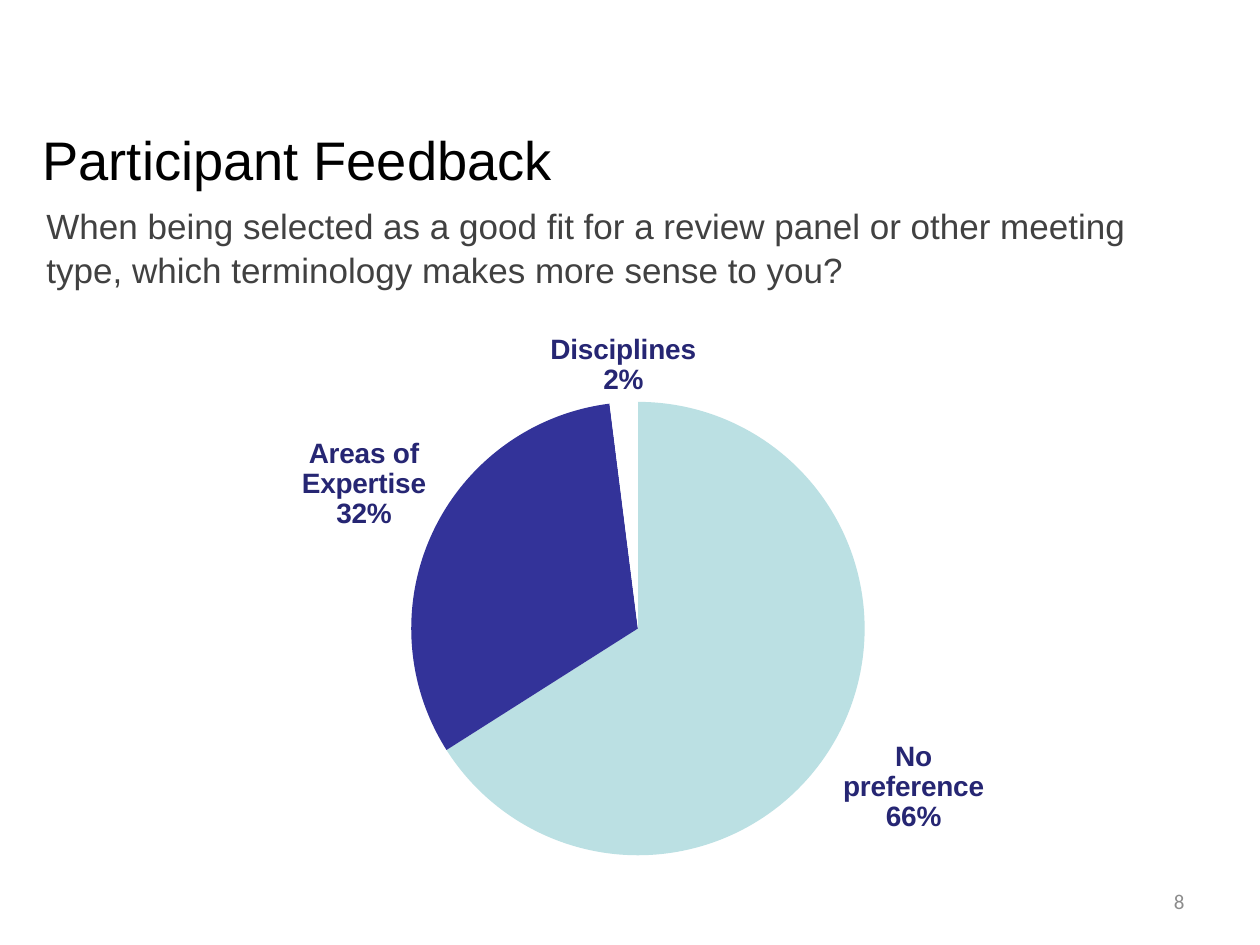
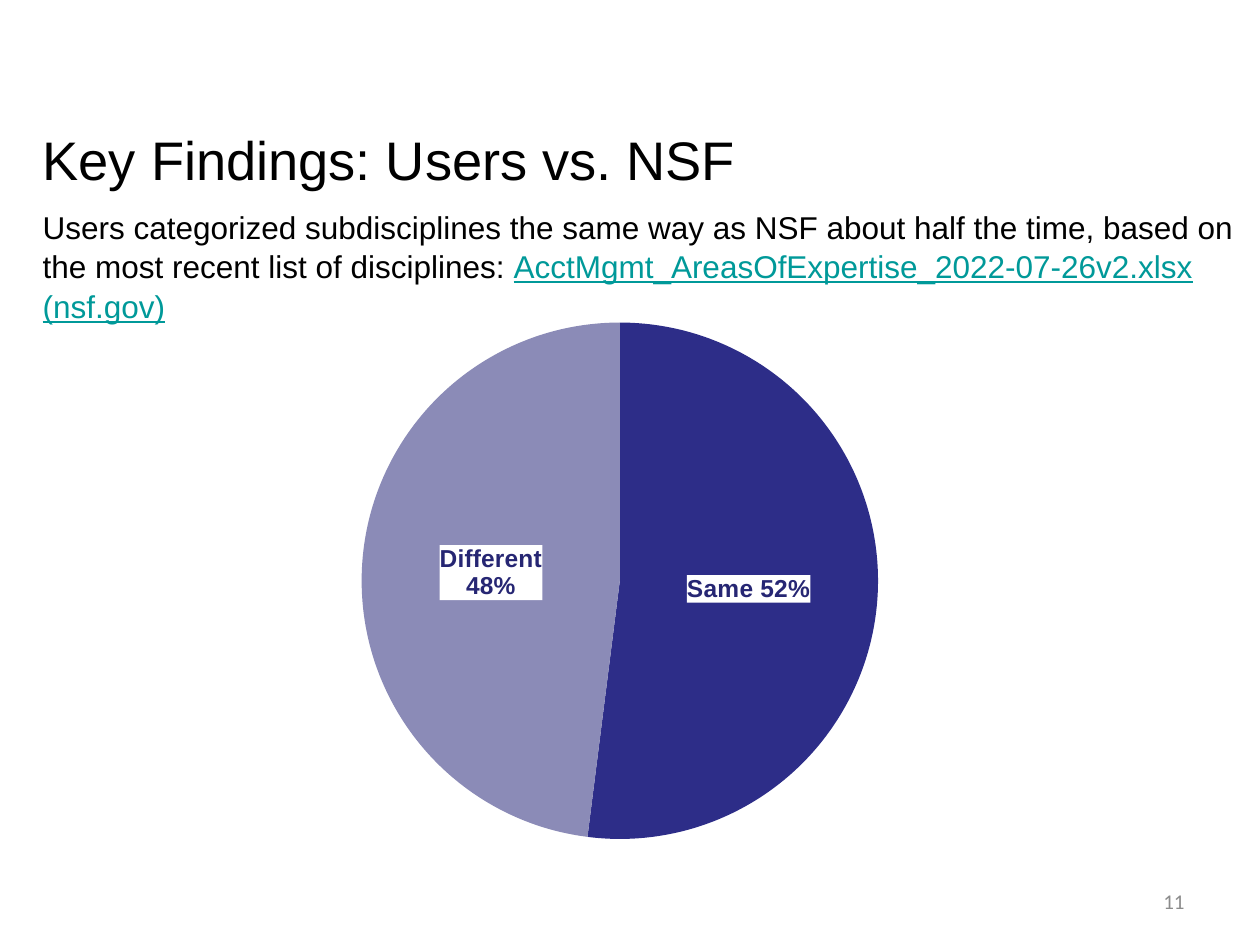
from lxml import etree
from pptx import Presentation
from pptx.chart.data import CategoryChartData
from pptx.dml.color import RGBColor
from pptx.enum.chart import XL_CHART_TYPE, XL_LABEL_POSITION
from pptx.enum.text import MSO_ANCHOR, PP_ALIGN
from pptx.oxml import parse_xml
from pptx.oxml.ns import nsdecls, qn
from pptx.util import Pt

PIE = XL_CHART_TYPE.PIE
OUTSIDE, CENTER = XL_LABEL_POSITION.OUTSIDE_END, XL_LABEL_POSITION.CENTER
TOP, MIDDLE = MSO_ANCHOR.TOP, MSO_ANCHOR.MIDDLE
LEFT, RIGHT = PP_ALIGN.LEFT, PP_ALIGN.RIGHT

PX = 9144  # EMU, 100 px to the inch
BLACK, GREY, FOOTER_GREY = "000000", "414141", "8C8C8C"
LINK_TEAL, LABEL_NAVY = "009999", "262673"
TITLE_BOX = (24, 94, 901, 69)
NUMBER_BOX = (717, 695, 233, 40)

SLIDES = [
    {
        "title": "Participant Feedback",
        "number": "8",
        "body_box": (27, 161, 901, 82),
        "body_inset": 0,
        "body_size": 20,
        "body": [("When being selected as a good fit for a review panel or other meeting type, "
                  "which terminology makes more sense to you?", GREY)],
        "chart_box": (147, 252, 706, 465),
        "pie_box": (326, 319, 360, 360),
        "label_size": 16,
        "label_position": OUTSIDE,
        "label_fill": "<a:noFill/>",
        "slices": [("No preference", 66, "BBE0E3", "\n"),
                   ("Areas of Expertise", 32, "333399", "\n"),
                   ("Disciplines", 2, "FFFFFF", "\n")],
    },
    {
        "title": "Key Findings: Users vs. NSF",
        "number": "11",
        "body_box": (24, 159, 969, 131),
        "body_inset": 5,
        "body_size": 18,
        "body": [("Users categorized subdisciplines the same way as NSF about half the time, "
                  "based on the most recent list of disciplines: ", BLACK),
                 ("AcctMgmt_AreasOfExpertise_2022-07-26v2.xlsx (nsf.gov)", LINK_TEAL)],
        "chart_box": (186, 242, 627, 438),
        "pie_box": (287, 256, 410, 410),
        "label_size": 14,
        "label_position": CENTER,
        "label_fill": '<a:solidFill><a:srgbClr val="FFFFFF"/></a:solidFill>',
        "slices": [("Same", 52, "2D2D88", " "),
                   ("Different", 48, "8B8BB7", "\n")],
    },
]


def rgb(hex_color):
    return RGBColor.from_string(hex_color)


def add_text(slide, box, parts, size, font="Arial", align=LEFT, anchor=TOP, inset=0, spacing=1.0):
    """Add one paragraph made of (text, colour) parts; link-coloured parts are underlined."""
    frame = slide.shapes.add_textbox(*(n * PX for n in box)).text_frame
    frame.word_wrap = True
    frame.vertical_anchor = anchor
    frame.margin_top = inset * PX
    frame.margin_bottom = 5 * PX
    paragraph = frame.paragraphs[0]
    paragraph.alignment = align
    paragraph.line_spacing = spacing
    for text, color in parts:
        run = paragraph.add_run()
        run.text = text
        run.font.name = font
        run.font.size = Pt(size)
        run.font.color.rgb = rgb(color)
        if color == LINK_TEAL:
            run.font.underline = True


prs = Presentation()
prs.slide_width, prs.slide_height = 1000 * PX, 750 * PX
blank = prs.slide_layouts[6]

for content in SLIDES:
    slide = prs.slides.add_slide(blank)
    add_text(slide, TITLE_BOX, [(content["title"], BLACK)], 31, anchor=MIDDLE)
    add_text(slide, NUMBER_BOX, [(content["number"], FOOTER_GREY)], 12,
             font="Calibri", align=RIGHT, anchor=MIDDLE, inset=5)
    add_text(slide, content["body_box"], content["body"], content["body_size"],
             inset=content["body_inset"], spacing=1.04)

    answers = CategoryChartData(number_format="0")
    answers.categories = [name for name, *_ in content["slices"]]
    answers.add_series("Series 1", [share for _, share, *_ in content["slices"]])
    chart_box = content["chart_box"]
    chart = slide.shapes.add_chart(PIE, *(n * PX for n in chart_box), answers).chart
    chart.has_title = False
    chart.has_legend = False
    chart.font.name = "Arial"
    chart.font.size = Pt(10)
    chart.font.color.rgb = rgb(BLACK)
    plot = chart.plots[0]
    plot.vary_by_categories = True

    # Fix the pie inside the chart frame, as fractions of the frame
    left, top, width, height = content["pie_box"]
    fractions = {"x": (left - chart_box[0]) / chart_box[2],
                 "y": (top - chart_box[1]) / chart_box[3],
                 "w": width / chart_box[2],
                 "h": height / chart_box[3]}
    plot_area = chart._chartSpace.chart.plotArea
    for old_layout in plot_area.findall(qn("c:layout")):
        plot_area.remove(old_layout)
    places = "".join(f'<c:{key} val="{value:.3f}"/>' for key, value in fractions.items())
    plot_area.insert(0, parse_xml(
        f'<c:layout {nsdecls("c")}><c:manualLayout><c:layoutTarget val="inner"/>'
        f'<c:xMode val="edge"/><c:yMode val="edge"/>{places}</c:manualLayout></c:layout>'))

    series = plot.series[0]
    for index, (_, _, color, separator) in enumerate(content["slices"]):
        point = series.points[index]
        point.format.fill.solid()
        point.format.fill.fore_color.rgb = rgb(color)
        point.format.line.fill.background()

        label = point.data_label
        label.position = content["label_position"]
        label.font.name = "Arial"
        label.font.size = Pt(content["label_size"])
        label.font.bold = True
        label.font.color.rgb = rgb(LABEL_NAVY)

        # Category and percentage, with a number format and a backing fill
        label_xml = series._element.find(qn("c:dLbls")).findall(qn("c:dLbl"))[index]
        for tag, shown in (("c:showVal", "0"), ("c:showCatName", "1"), ("c:showPercent", "1")):
            label_xml.find(qn(tag)).set("val", shown)
        for old_fill in label_xml.findall(qn("c:spPr")):
            label_xml.remove(old_fill)
        label_xml.insert(1, parse_xml(
            f'<c:numFmt {nsdecls("c")} formatCode="0%" sourceLinked="0"/>'))
        label_xml.insert(2, parse_xml(
            f'<c:spPr {nsdecls("c", "a")}>{content["label_fill"]}</c:spPr>'))
        etree.SubElement(label_xml, qn("c:separator")).text = separator

prs.save("out.pptx")
